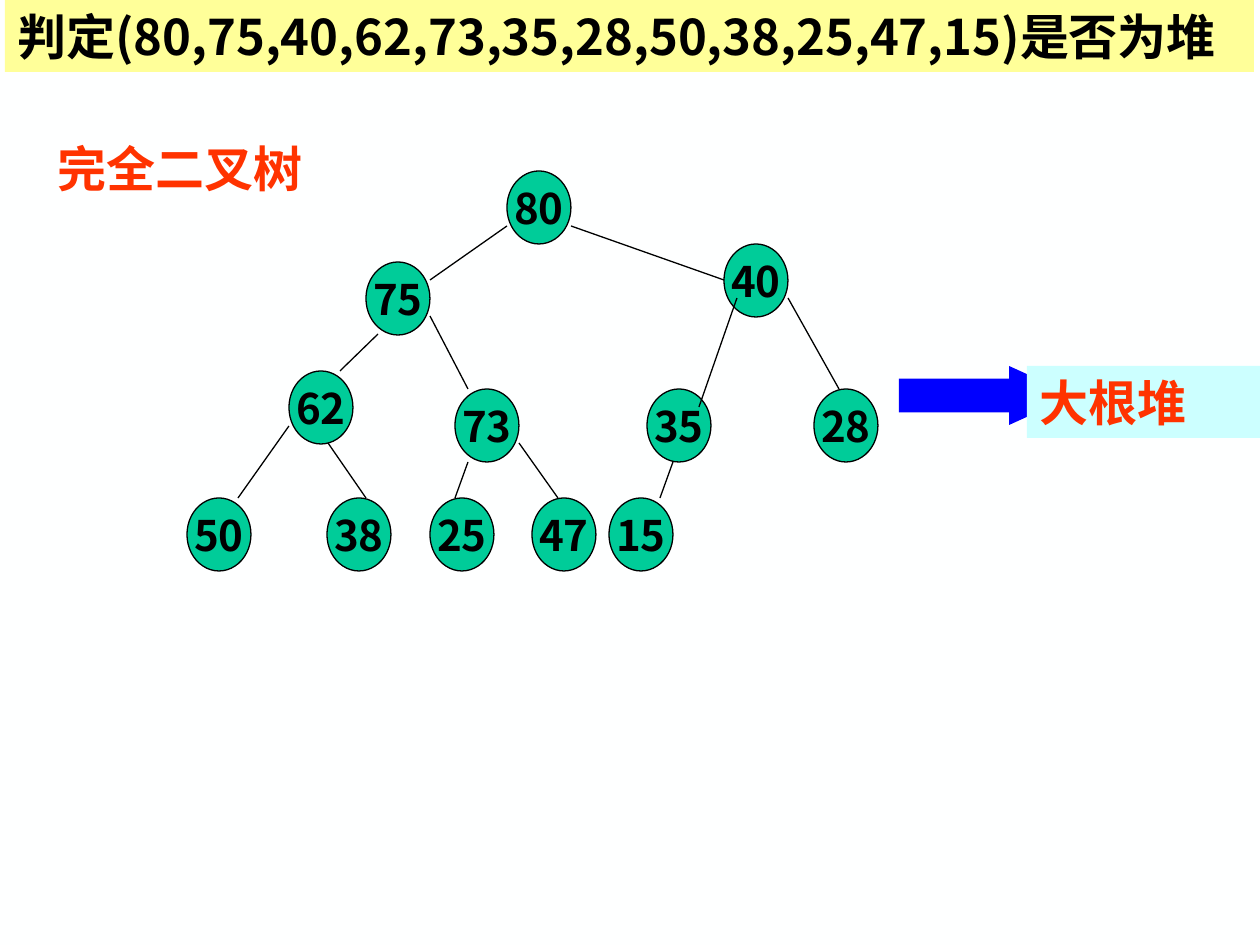
"""Build a slide that checks whether a sequence forms a heap."""
from typing import NamedTuple, Optional

from lxml.etree import SubElement
from pptx import Presentation
from pptx.dml.color import RGBColor
from pptx.enum.shapes import MSO_CONNECTOR, MSO_SHAPE as Shape
from pptx.enum.text import MSO_ANCHOR as Anchor, PP_ALIGN as Align
from pptx.oxml.ns import qn
from pptx.util import Emu, Pt

PX_PER_INCH = 126
NODE_W, NODE_H = 64, 73
SANS, SERIF = "Noto Sans CJK SC", "Times New Roman"
BLACK = RGBColor(0x00, 0x00, 0x00)
WHITE = RGBColor(0xFE, 0xFF, 0xFF)
YELLOW = RGBColor(0xFF, 0xFF, 0x99)
GREEN = RGBColor(0x00, 0xCC, 0x99)
RED = RGBColor(0xFF, 0x33, 0x00)
BLUE = RGBColor(0x00, 0x00, 0xFF)
CYAN = RGBColor(0xCC, 0xFF, 0xFF)


class Node(NamedTuple):
    value: int
    x: int
    y: int


class Edge(NamedTuple):
    x1: int
    y1: int
    x2: int
    y2: int


class Box(NamedTuple):
    x: int
    y: int
    w: int
    h: int


NODES = [
    Node(80, 507, 171),
    Node(75, 366, 262), Node(40, 724, 244),
    Node(62, 289, 371), Node(73, 455, 389), Node(28, 814, 389), Node(35, 647, 389),
    Node(50, 187, 498), Node(38, 327, 498), Node(25, 430, 498),
    Node(47, 532, 498), Node(15, 609, 498),
]
EDGES = [
    Edge(507, 226, 430, 280), Edge(571, 226, 724, 280),
    Edge(378, 334, 340, 371), Edge(430, 316, 468, 389),
    Edge(737, 298, 699, 407), Edge(788, 298, 839, 389),
    Edge(289, 426, 238, 498), Edge(328, 443, 366, 498),
    Edge(468, 462, 455, 498), Edge(519, 443, 558, 498),
    Edge(673, 462, 660, 498),
]


def px(n: int) -> Emu:
    """Turn pixels into EMU."""
    return Emu(round(n * 914400 / PX_PER_INCH))


def add_filled(shapes, kind: Shape, box: Box, fill: RGBColor,
               line: Optional[RGBColor] = None):
    """Add a flat shape with an optional thin outline."""
    sp = shapes.add_shape(kind, *map(px, box))
    sp.shadow.inherit = False
    sp.fill.solid()
    sp.fill.fore_color.rgb = fill
    if line is None:
        sp.line.fill.background()
    else:
        sp.line.color.rgb = line
        sp.line.width = Pt(0.75)
    return sp


def write(sp, text: str, size: int, font: str, color: RGBColor,
          align: Align = Align.LEFT, anchor: Anchor = Anchor.TOP,
          wrap: bool = True) -> None:
    """Fill a shape with one bold paragraph."""
    tf = sp.text_frame
    tf.word_wrap = wrap
    tf.vertical_anchor = anchor
    p = tf.paragraphs[0]
    p.text = text
    p.alignment = align
    p.font.name = font
    p.font.size = Pt(size)
    p.font.bold = True
    p.font.color.rgb = color


def add_node(shapes, node: Node) -> None:
    """Draw one tree node."""
    box = Box(node.x, node.y, NODE_W, NODE_H)
    sp = add_filled(shapes, Shape.OVAL, box, GREEN, BLACK)
    write(sp, str(node.value), 24, SANS, BLACK, Align.CENTER, Anchor.MIDDLE, False)


def add_edge(shapes, edge: Edge) -> None:
    """Draw one tree edge."""
    cxn = shapes.add_connector(MSO_CONNECTOR.STRAIGHT, *map(px, edge))
    cxn.line.color.rgb = BLACK
    cxn.line.width = Pt(0.75)
    SubElement(cxn._element.spPr, qn("a:effectLst"))


def main() -> None:
    """Draw the slide and save it."""
    prs = Presentation()
    prs.slide_width, prs.slide_height = px(1260), px(945)
    s = prs.slides.add_slide(prs.slide_layouts[6])
    s.background.fill.solid()
    s.background.fill.fore_color.rgb = WHITE

    title = add_filled(s.shapes, Shape.RECTANGLE, Box(5, 0, 1249, 72), YELLOW)
    write(title, "判定(80,75,40,62,73,35,28,50,38,25,47,15)是否为堆", 28, SANS, BLACK)

    tree = s.shapes.add_group_shape().shapes
    for node in NODES:
        add_node(tree, node)
    for edge in EDGES:
        add_edge(tree, edge)

    caption = s.shapes.add_textbox(*map(px, Box(45, 132, 364, 72)))
    write(caption, "完全二叉树", 28, SERIF, RED)

    verdict = s.shapes.add_group_shape().shapes
    arrow = add_filled(verdict, Shape.RIGHT_ARROW, Box(899, 366, 175, 59), BLUE)
    arrow.adjustments[0], arrow.adjustments[1] = 0.57, 1.1
    label = add_filled(verdict, Shape.RECTANGLE, Box(1027, 366, 266, 72), CYAN)
    write(label, "大根堆", 28, SERIF, RED)

    prs.save("out.pptx")


if __name__ == "__main__":
    main()
